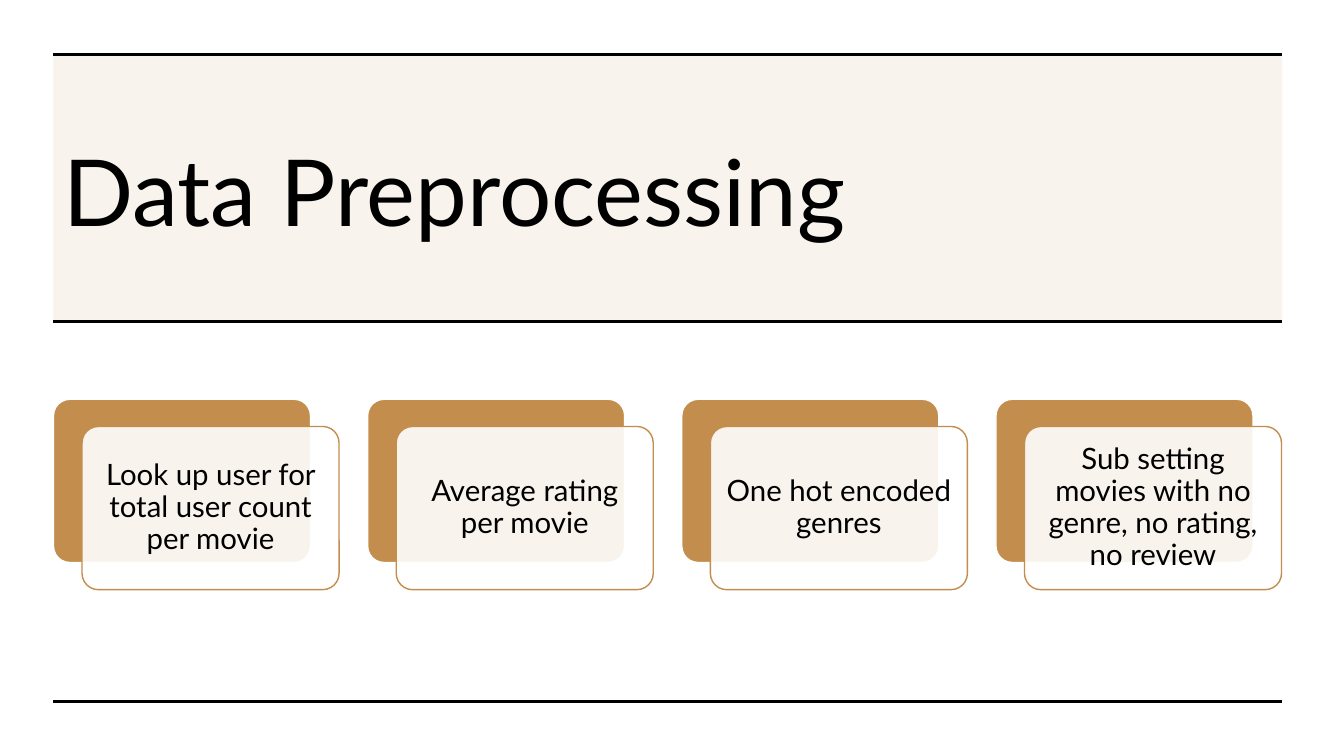
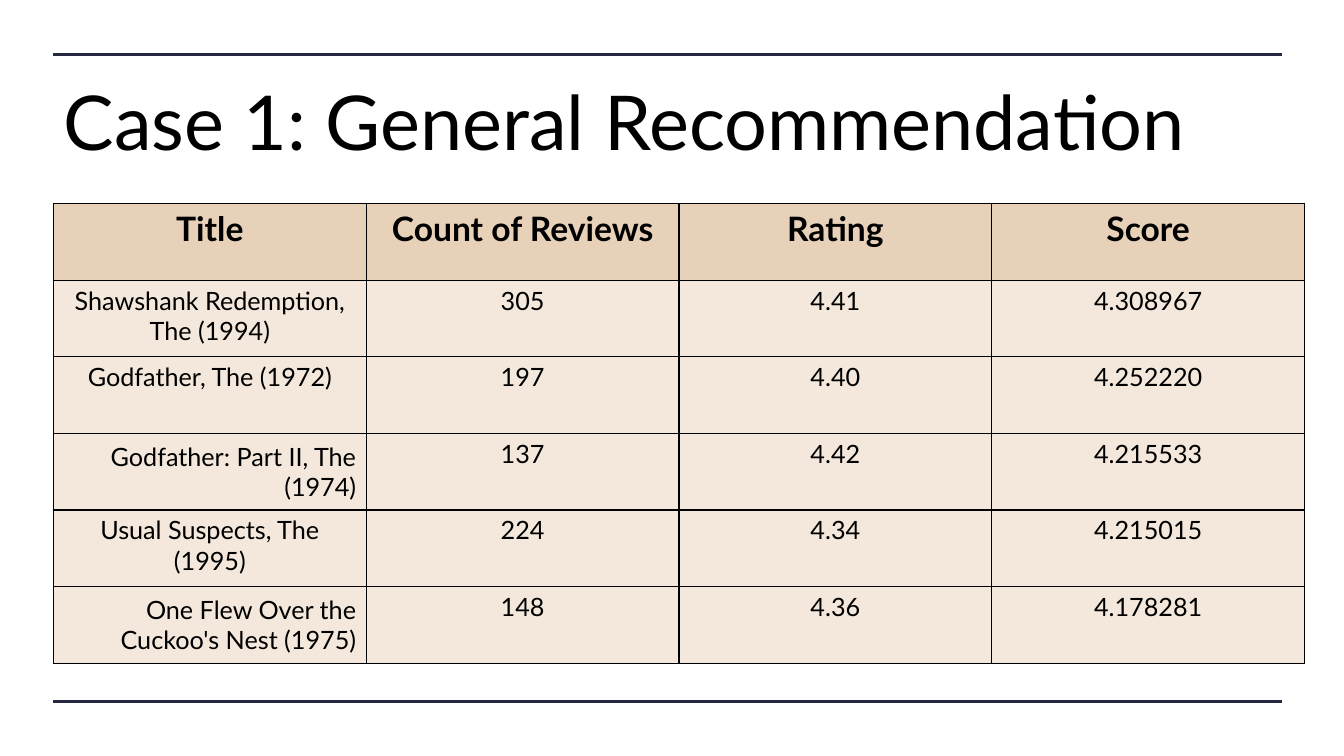
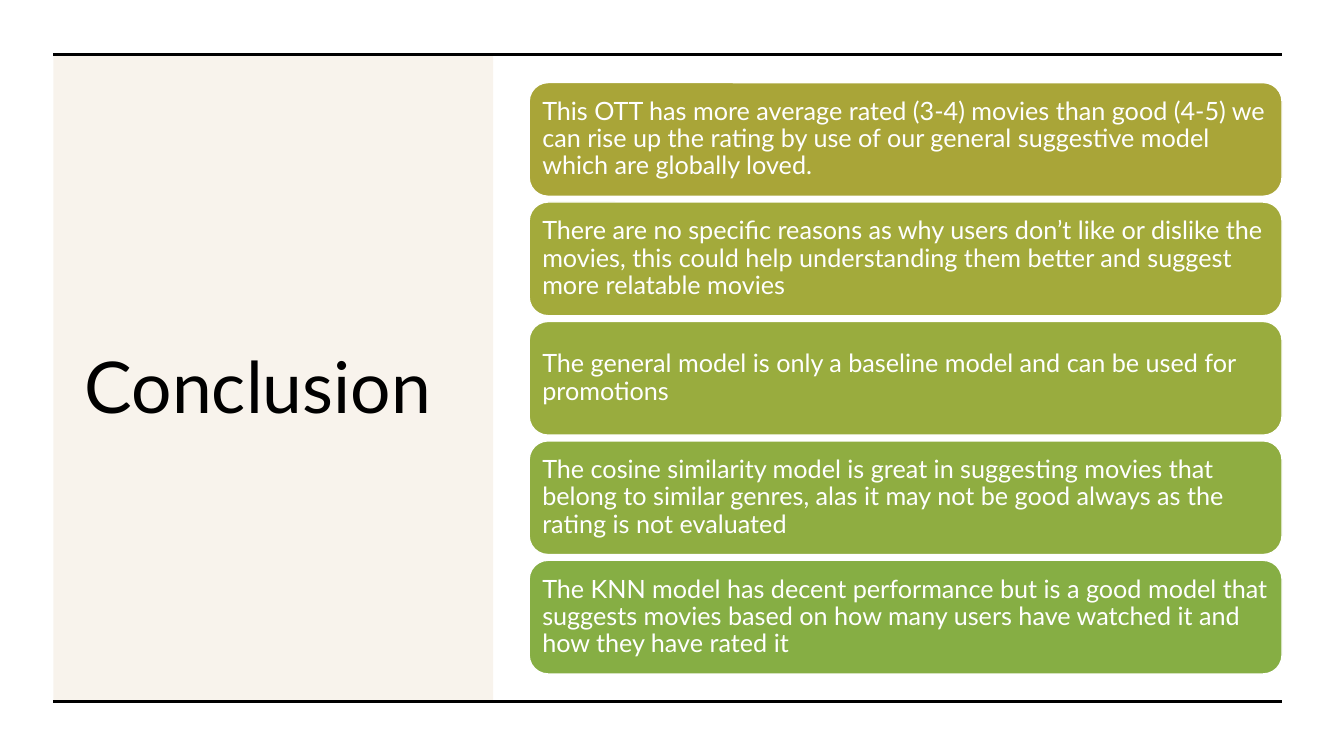
"""Build three slides about a movie recommendation project."""
from lxml import etree
from pptx import Presentation
from pptx import util as u
from pptx.dml import color as dml
from pptx.enum import shapes, text
from pptx.oxml import ns

FONT = "Lato"
BLACK, WHITE, NAVY, TAN = "000000", "FFFFFF", "242941", "C38D4D"
HEADER_FILL, BODY_FILL = "E7D1B8", "F3E8DB"
LEFT, RIGHT, TOP, BOTTOM = 38.2, 915.8, 39, 501

STEPS = [
    "Look up user for total user count per movie",
    "Average rating per movie",
    "One hot encoded genres",
    "Sub setting movies with no genre, no rating, no review",
]
MOVIES = [
    ("Title", "Count of Reviews", "Rating", "Score"),
    ("Shawshank Redemption, The (1994)", "305", "4.41", "4.308967"),
    ("Godfather, The (1972)", "197", "4.40", "4.252220"),
    ("Godfather: Part II, The (1974)", "137", "4.42", "4.215533"),
    ("Usual Suspects, The (1995)", "224", "4.34", "4.215015"),
    ("One Flew Over the Cuckoo's Nest (1975)", "148", "4.36", "4.178281"),
]
RIGHT_ALIGNED_ROWS = (3, 5)
FINDINGS = [
    ("A9A538", "This OTT has more average rated (3-4) movies than good (4-5) we can rise up "
     "the rating by use of our general suggestive model which are globally loved."),
    ("A3AA3B", "There are no specific reasons as why users don’t like or dislike the movies, "
     "this could help understanding them better and suggest more relatable movies"),
    ("99AC3E", "The general model is only a baseline model and can be used for promotions"),
    ("8FAD41", "The cosine similarity model is great in suggesting movies that belong to "
     "similar genres, alas it may not be good always as the rating is not evaluated"),
    ("86AE44", "The KNN model has decent performance but is a good model that suggests movies "
     "based on how many users have watched it and how they have rated it"),
]


def paint(target, hex_color):
    """Set a fill or a font to a solid colour."""
    if hasattr(target, "solid"):
        target.solid()
        target.fore_color.rgb = dml.RGBColor.from_string(hex_color)
    else:
        target.color.rgb = dml.RGBColor.from_string(hex_color)


def write(frame, words, size, color, align, bold=False):
    """Write one formatted run into the first paragraph of a frame."""
    para = frame.paragraphs[0]
    para.alignment = align
    span = para.add_run()
    span.text = words
    span.font.name, span.font.size, span.font.bold = FONT, u.Pt(size), bold
    paint(span.font, color)
    return para


def add_page(deck, heading, size, area):
    """Add a slide whose title placeholder fills the given area."""
    page = deck.slides.add_slide(deck.slide_layouts.get_by_name("Title Only"))
    title = page.shapes.title
    title.left, title.top, title.width, title.height = map(u.Pt, area)
    frame = title.text_frame
    frame.word_wrap = True
    frame.auto_size = text.MSO_AUTO_SIZE.NONE
    frame.vertical_anchor = text.MSO_ANCHOR.MIDDLE
    write(frame, heading, size, BLACK, text.PP_ALIGN.LEFT)
    return page


def add_rules(page, color, heights=(TOP, BOTTOM)):
    """Draw full-width horizontal lines at the given heights."""
    for y in heights:
        rule = page.shapes.add_connector(
            shapes.MSO_CONNECTOR.STRAIGHT, u.Pt(LEFT), u.Pt(y), u.Pt(RIGHT), u.Pt(y))
        rule.line.width = u.Pt(2.25)
        paint(rule.line.fill, color)
        etree.SubElement(rule.element.spPr, ns.qn("a:effectLst"))


def add_box(page, kind, area, fill, line=None, opacity=100):
    """Add a flat shape, optionally outlined and see-through."""
    box = page.shapes.add_shape(kind, *map(u.Pt, area))
    box.shadow.inherit = False
    paint(box.fill, fill)
    if opacity < 100:
        tint = box.element.spPr.find(ns.qn("a:solidFill"))[0]
        etree.SubElement(tint, ns.qn("a:alpha"), val=str(opacity * 1000))
    if line:
        paint(box.line.fill, line)
        box.line.width = u.Pt(1)
    else:
        box.line.fill.background()
    return box


def add_panel(page, width, height):
    """Put a pale panel behind the title."""
    area = (LEFT, TOP, width, height)
    panel = add_box(page, shapes.MSO_SHAPE.RECTANGLE, area, TAN, opacity=10)
    page.shapes.title.element.addprevious(panel.element)


def fill_box(box, words, size, color, align, margin):
    """Write tightly spaced text in the middle of a box."""
    frame = box.text_frame
    frame.word_wrap = True
    frame.vertical_anchor = text.MSO_ANCHOR.MIDDLE
    frame.margin_left = frame.margin_right = u.Pt(margin)
    frame.margin_top = frame.margin_bottom = u.Pt(margin)
    write(frame, words, size, color, align).line_spacing = 0.9


def add_card(page, left, top, words):
    """Add a solid card with a captioned card shifted in front of it."""
    size = (183.6, 116.6)
    rounded = shapes.MSO_SHAPE.ROUNDED_RECTANGLE
    back = add_box(page, rounded, (left, top, *size), TAN, WHITE)
    front = add_box(page, rounded, (left + 20.4, top + 19.4, *size), WHITE, TAN, 90)
    for box in (back, front):
        box.adjustments[0] = 0.1
    fill_box(front, words, 21, BLACK, text.PP_ALIGN.CENTER, 6.3)


def add_borders(cell):
    """Give a table cell thin black borders."""
    props = cell._tc.get_or_add_tcPr()
    for side in ("lnL", "lnR", "lnT", "lnB"):
        edge = etree.SubElement(props, ns.qn(f"a:{side}"), w=str(u.Pt(1)))
        solid = etree.SubElement(edge, ns.qn("a:solidFill"))
        etree.SubElement(solid, ns.qn("a:srgbClr"), val=BLACK)


def add_movie_table(page, rows):
    """Add the table of recommended movies."""
    area = map(u.Pt, (LEFT, 145.4, 893.6, 328.32))
    table = page.shapes.add_table(len(rows), len(rows[0]), *area).table
    table.first_row = table.horz_banding = False
    for r, row in enumerate(rows):
        for c, words in enumerate(row):
            cell = table.cell(r, c)
            add_borders(cell)
            paint(cell.fill, BODY_FILL if r else HEADER_FILL)
            align = text.PP_ALIGN.CENTER
            if c == 0 and r in RIGHT_ALIGNED_ROWS:
                align = text.PP_ALIGN.RIGHT
                cell.vertical_anchor = text.MSO_ANCHOR.MIDDLE
            write(cell.text_frame, words, 18 if r else 24, BLACK, align, bold=r == 0)


def build_preprocessing(deck):
    """Build the slide with the preprocessing steps."""
    page = add_page(deck, "Data Preprocessing", 66, (LEFT, 77, 816, 117.4))
    add_panel(page, RIGHT - LEFT, 191)
    add_rules(page, BLACK, (TOP, 229.7, BOTTOM))
    for i, words in enumerate(STEPS):
        add_card(page, LEFT + i * 224.4, 285.2, words)


def build_recommendation(deck):
    """Build the slide with the general recommendation table."""
    page = add_page(deck, "Case 1: General Recommendation", 54, (LEFT, 49.7, 837.4, 72.7))
    add_rules(page, NAVY)
    add_movie_table(page, MOVIES)


def build_conclusion(deck):
    """Build the slide with the findings."""
    page = add_page(deck, "Conclusion", 51, (53.3, 77, 280, 396))
    add_panel(page, 314, BOTTOM - TOP)
    add_rules(page, BLACK)
    for i, (fill, words) in enumerate(FINDINGS):
        area = (378, 59 + i * 85.3, 537.8, 81.2)
        box = add_box(page, shapes.MSO_SHAPE.ROUNDED_RECTANGLE, area, fill, WHITE)
        fill_box(box, words, 18, WHITE, text.PP_ALIGN.LEFT, 5.4)


def main():
    """Build the deck and save it."""
    deck = Presentation()
    deck.slide_width, deck.slide_height = u.Pt(960), u.Pt(540)
    build_preprocessing(deck)
    build_recommendation(deck)
    build_conclusion(deck)
    deck.save("out.pptx")


if __name__ == "__main__":
    main()
